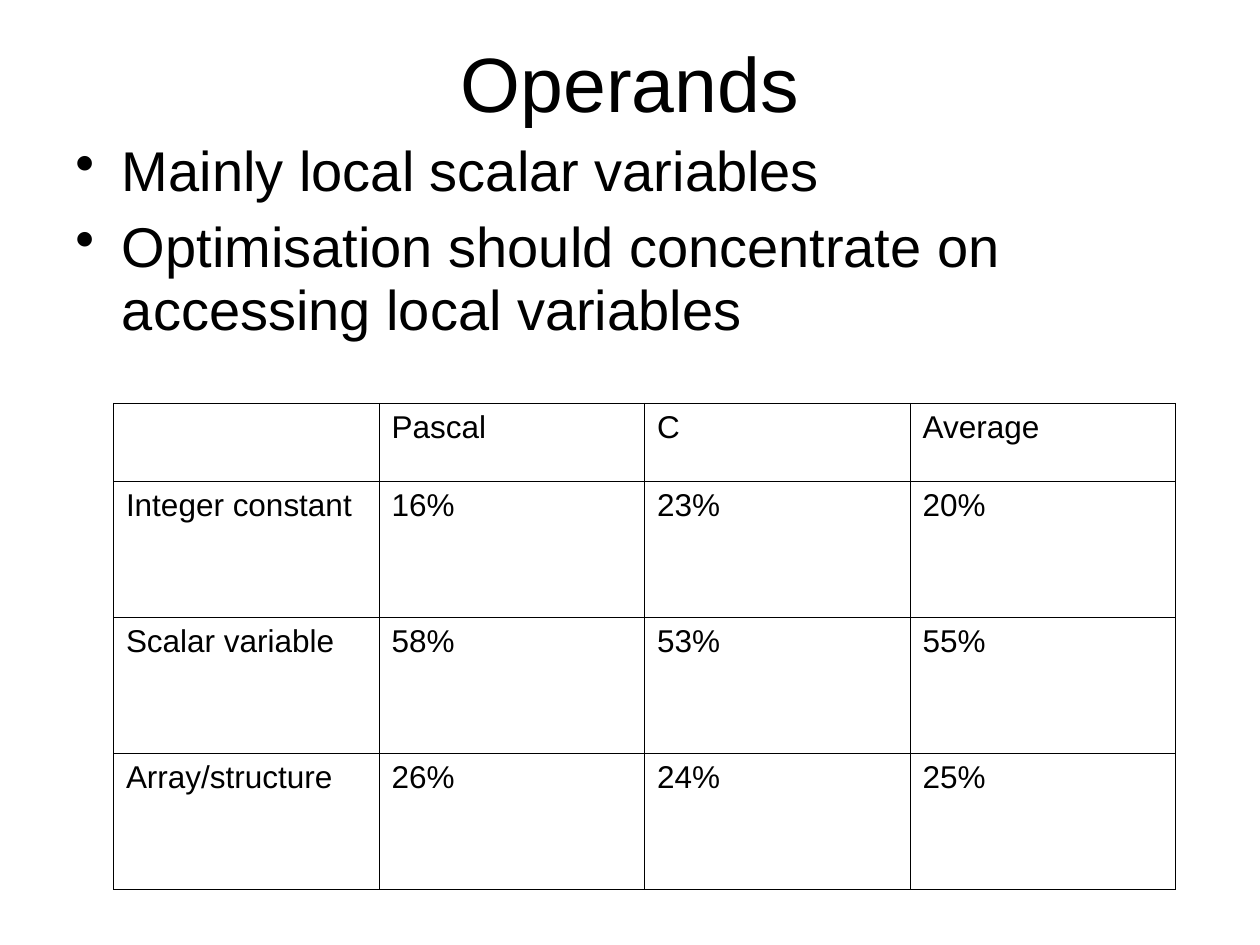
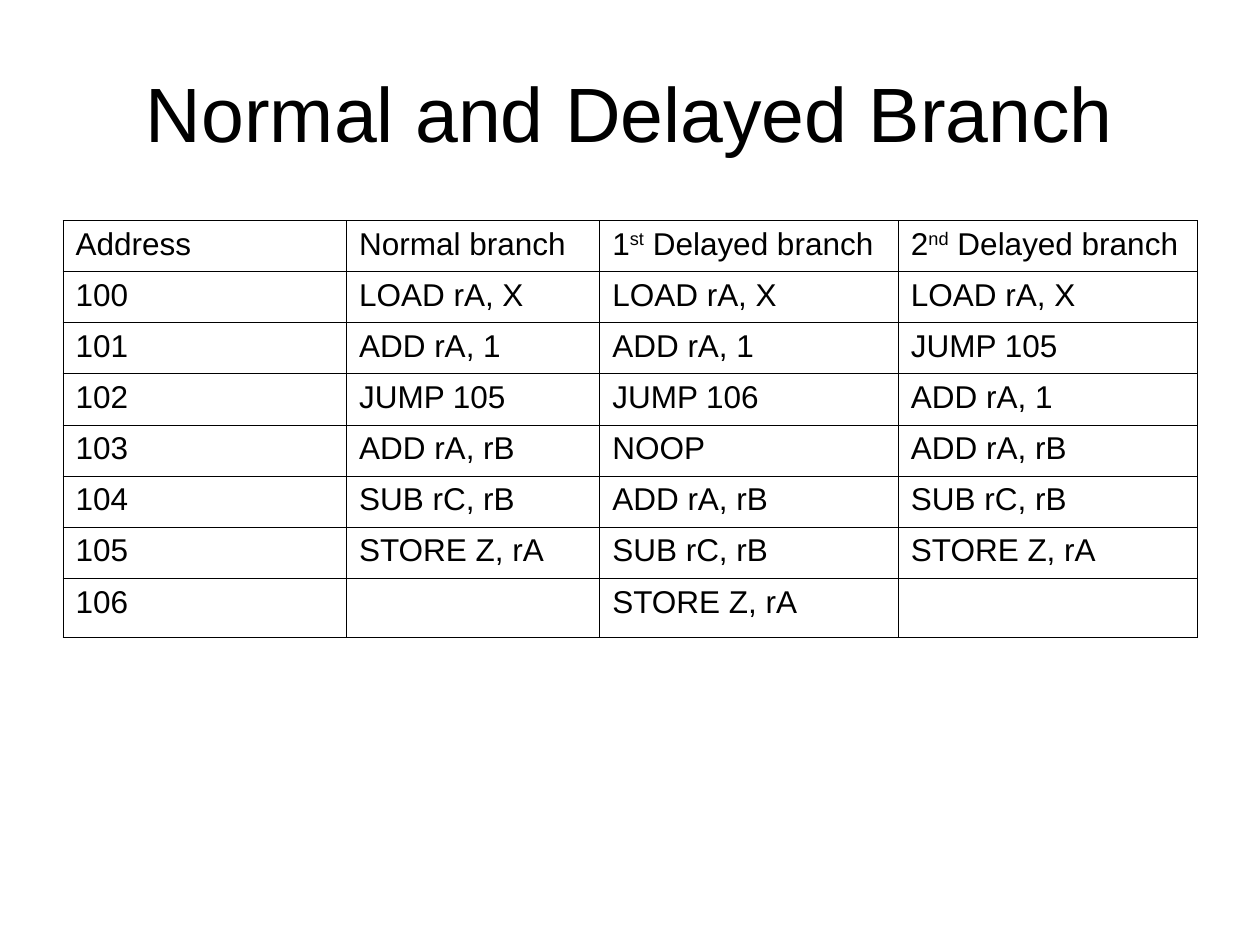
from lxml import etree
from pptx import Presentation
from pptx.dml.color import RGBColor
from pptx.enum import text
from pptx.oxml import ns
from pptx.util import Inches, Pt

FONT = "Arial"
BLACK = RGBColor(0, 0, 0)
LINE_SPACING = 0.93
LEFT, TOP, WIDTH = 0.5, 0.3, 9
BORDER = Pt(0.45)

OPERANDS = [
    ["", "Pascal", "C", "Average"],
    ["Integer constant", "16%", "23%", "20%"],
    ["Scalar variable", "58%", "53%", "55%"],
    ["Array/structure", "26%", "24%", "25%"],
]
BRANCHES = [
    ["Address", "Normal branch", ("1", "st", " Delayed branch"), ("2", "nd", " Delayed branch")],
    ["100", "LOAD rA, X", "LOAD rA, X", "LOAD rA, X"],
    ["101", "ADD rA, 1", "ADD rA, 1", "JUMP 105"],
    ["102", "JUMP 105", "JUMP 106", "ADD rA, 1"],
    ["103", "ADD rA, rB", "NOOP", "ADD rA, rB"],
    ["104", "SUB rC, rB", "ADD rA, rB", "SUB rC, rB"],
    ["105", "STORE Z, rA", "SUB rC, rB", "STORE Z, rA"],
    ["106", "", "STORE Z, rA", ""],
]


def style(para, size):
    para.font.name = FONT
    para.font.size = Pt(size)
    para.font.color.rgb = BLACK


def add_box(page, top, height):
    box = page.shapes.add_textbox(Inches(LEFT), Inches(top), Inches(WIDTH), Inches(height))
    box.text_frame.word_wrap = True
    return box.text_frame


def add_title(page, title, height):
    frame = add_box(page, TOP, height)
    frame.vertical_anchor = text.MSO_ANCHOR.MIDDLE
    para = frame.paragraphs[0]
    para.text = title
    para.alignment = text.PP_ALIGN.CENTER
    para.line_spacing = LINE_SPACING
    style(para, 44)


def add_bullets(page, top, height, items):
    frame = add_box(page, top, height)
    for index, item in enumerate(items):
        para = frame.add_paragraph() if index else frame.paragraphs[0]
        para.text = item
        para.line_spacing = LINE_SPACING
        if index:
            para.space_before = Pt(8)
        props = para._p.get_or_add_pPr()
        props.set("marL", str(Inches(0.37)))
        props.set("indent", str(-Inches(0.37)))
        etree.SubElement(props, ns.qn("a:buChar"), char="•")
        style(para, 32)


def draw_borders(cell):
    props = cell._tc.get_or_add_tcPr()
    for side in ("lnL", "lnR", "lnT", "lnB"):
        line = etree.SubElement(props, ns.qn(f"a:{side}"), w=str(BORDER))
        fill = etree.SubElement(line, ns.qn("a:solidFill"))
        etree.SubElement(fill, ns.qn("a:srgbClr"), val=str(BLACK))


def fill_cell(cell, content):
    para = cell.text_frame.paragraphs[0]
    if isinstance(content, tuple):
        for part in content:
            para.add_run().text = part
        para.runs[1]._r.get_or_add_rPr().set("baseline", "30000")
    else:
        para.text = content
    style(para, 18)
    draw_borders(cell)
    cell.fill.background()


def add_grid(page, left, top, widths, heights, rows):
    frame = page.shapes.add_table(len(rows), len(widths), Inches(left), Inches(top),
                                  Inches(sum(widths)), Inches(sum(heights)))
    table = frame.table
    table.first_row = table.horz_banding = False
    for column, width in zip(table.columns, widths):
        column.width = Inches(width)
    for row, height, contents in zip(table.rows, heights, rows):
        row.height = Inches(height)
        for cell, content in zip(row.cells, contents):
            fill_cell(cell, content)


def main():
    deck = Presentation()
    deck.slide_width, deck.slide_height = Inches(10), Inches(7.5)
    blank = deck.slide_layouts[6]

    page = deck.slides.add_slide(blank)
    add_title(page, "Operands", 0.77)
    add_bullets(page, 1.07, 6.22, [
        "Mainly local scalar variables",
        "Optimisation should concentrate on accessing local variables",
    ])
    add_grid(page, 0.9, 3.2, [8.43 / 4] * 4, [0.62] + [1.08] * 3, OPERANDS)

    page = deck.slides.add_slide(blank)
    add_title(page, "Normal and Delayed Branch", 1.25)
    add_grid(page, LEFT, 1.75, [2.25, 2.01, 2.37, 2.37], [2.84 / 7] * 7 + [0.47], BRANCHES)

    deck.save("out.pptx")


if __name__ == "__main__":
    main()
